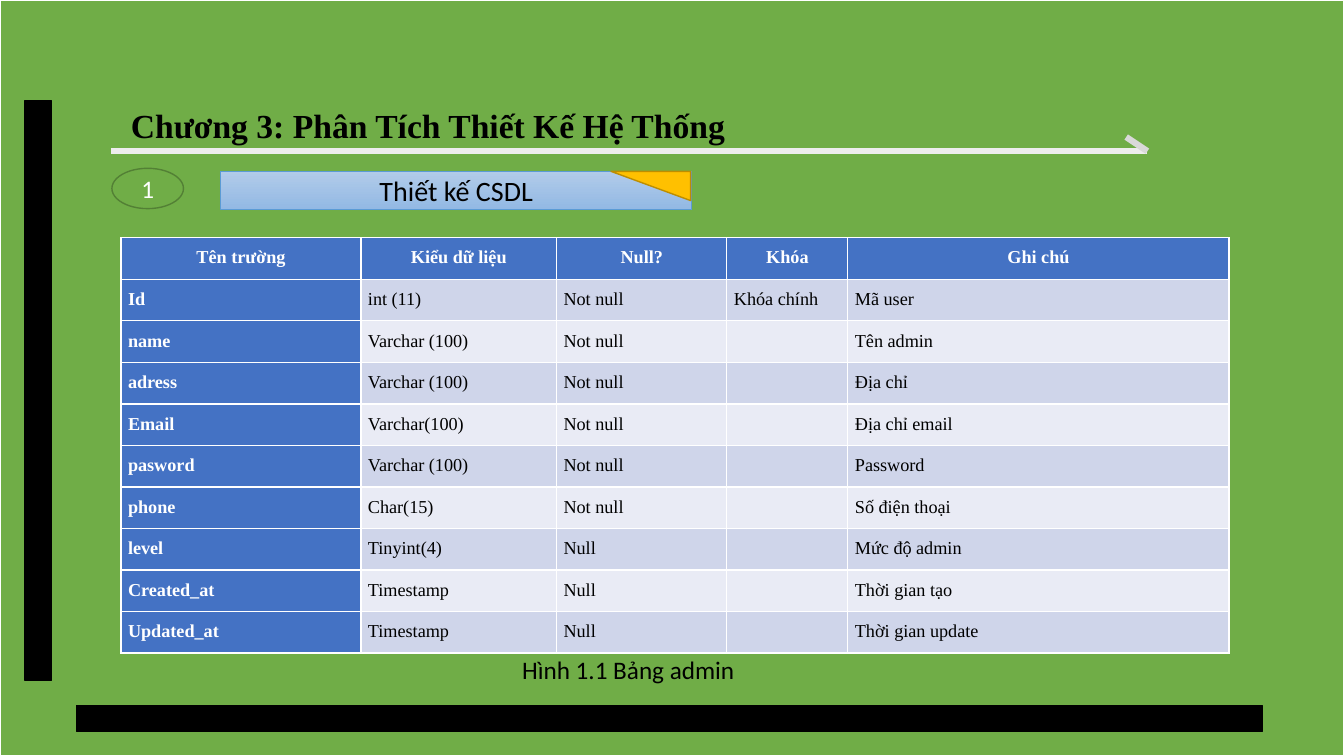
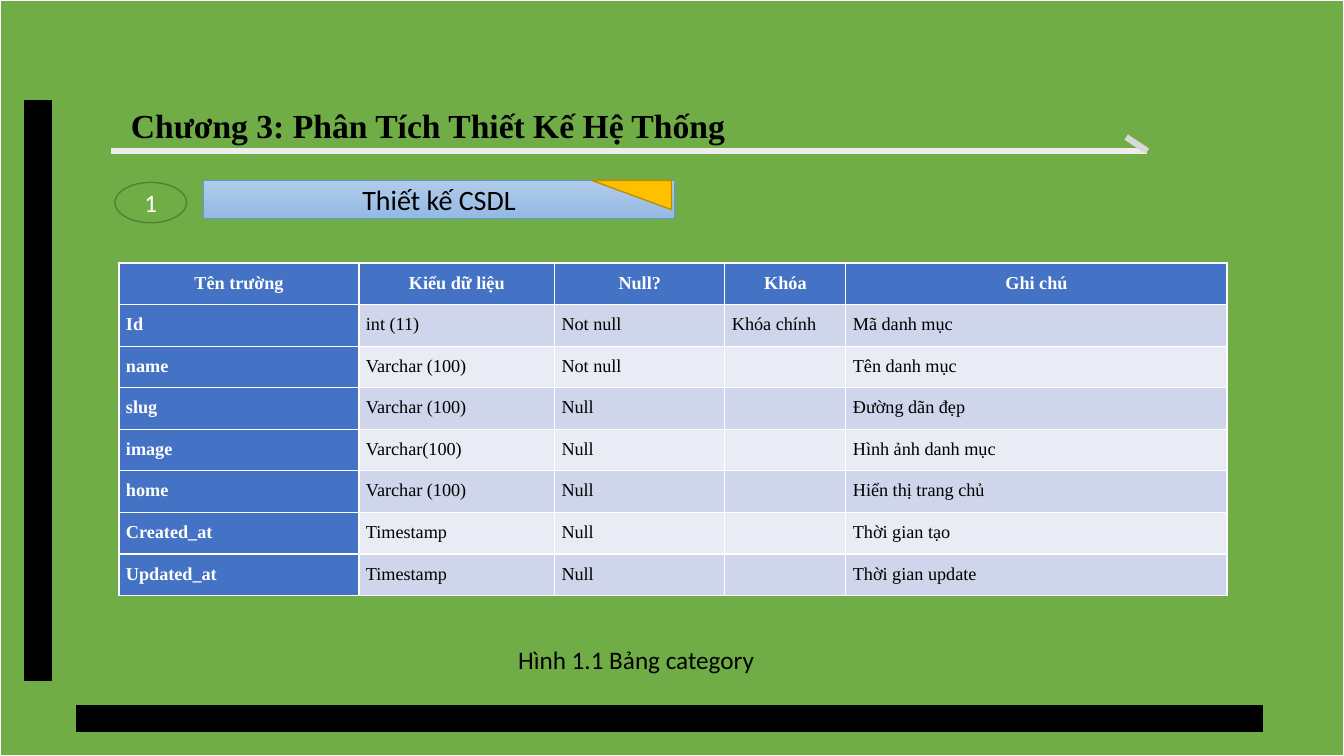
"""Build two slides that describe the database tables admin and category."""
from lxml import etree
from pptx import Presentation
from pptx.dml.color import RGBColor
from pptx.enum.shapes import MSO_CONNECTOR, MSO_SHAPE
from pptx.enum.text import MSO_ANCHOR, MSO_AUTO_SIZE, PP_ALIGN
from pptx.oxml.ns import qn
from pptx.util import Inches, Pt

RECT = MSO_SHAPE.RECTANGLE
OVAL = MSO_SHAPE.OVAL
WEDGE = MSO_SHAPE.RIGHT_TRIANGLE
LINE = MSO_CONNECTOR.STRAIGHT
TOP = MSO_ANCHOR.TOP
FIXED = MSO_AUTO_SIZE.NONE
LEFT, CENTER = PP_ALIGN.LEFT, PP_ALIGN.CENTER

SERIF, SANS = "Times New Roman", "Calibri"
WHITE, BLACK, GREEN, BLUE = "FFFFFF", "000000", "70AD47", "4472C4"
BANDS = ("E9EBF5", "CFD5EA")
TITLE = "Chương 3: Phân Tích Thiết Kế Hệ Thống"
HEAD = ("Tên trường", "Kiểu dữ liệu", "Null?", "Khóa", "Ghi chú")
WIDTHS = (2.38, 1.94, 1.69, 1.2, 3.78)
STAMPS = [
    ("Created_at", "Timestamp", "Null", "", "Thời gian tạo"),
    ("Updated_at", "Timestamp", "Null", "", "Thời gian update"),
]
PAGES = [
    {
        "badge": (1.11, 1.67), "banner": (2.19, 1.7), "fold": (6.06, 1.7),
        "table": (1.2, 2.36, 10.99, 4.12),
        "note": ("Hình 1.1 Bảng admin", 5.08, 6.44, 2.45, 0.4),
        "rows": [
            ("Id", "int (11)", "Not null", "Khóa chính", "Mã user"),
            ("name", "Varchar (100)", "Not null", "", "Tên admin"),
            ("adress", "Varchar (100)", "Not null", "", "Địa chỉ"),
            ("Email", "Varchar(100)", "Not null", "", "Địa chỉ email"),
            ("pasword", "Varchar (100)", "Not null", "", "Password"),
            ("phone", "Char(15)", "Not null", "", "Số điện thoại"),
            ("level", "Tinyint(4)", "Null", "", "Mức độ admin"),
        ],
    },
    {
        "badge": (1.14, 1.81), "banner": (2.02, 1.79), "fold": (5.87, 1.79),
        "table": (1.18, 2.61, 10.99, 3.3),
        "note": ("Hình 1.1 Bảng category", 5.04, 6.34, 2.65, 0.4),
        "rows": [
            ("Id", "int (11)", "Not null", "Khóa chính", "Mã danh mục"),
            ("name", "Varchar (100)", "Not null", "", "Tên danh mục"),
            ("slug", "Varchar (100)", "Null", "", "Đường dãn đẹp"),
            ("image", "Varchar(100)", "Null", "", "Hình ảnh danh mục"),
            ("home", "Varchar (100)", "Null", "", "Hiển thị trang chủ"),
        ],
    },
]


def paint(part, tone):
    """Give a fill, line or font format one solid colour."""
    if hasattr(part, "solid"):
        part.solid()
    color = part.fore_color if hasattr(part, "fore_color") else part.color
    color.rgb = RGBColor.from_string(tone)


def write(frame, text, size, face, tone, bold=False, align=LEFT):
    """Put one styled paragraph in a text frame and return it."""
    frame.text = text
    par = frame.paragraphs[0]
    par.alignment = align
    par.font.size, par.font.name, par.font.bold = Pt(size), face, bold
    paint(par.font, tone)
    return par


deck = Presentation()
deck.slide_width, deck.slide_height = Inches(13.33), Inches(7.5)
layout = deck.slide_layouts[5]
slides = [deck.slides.add_slide(layout) for page in PAGES]

frame = []
for box, fill, edge, width in (
    ((0, 0, 13.33, 7.5), GREEN, WHITE, 1.5),
    ((0.25, 1, 0.26, 5.75), BLACK, BLACK, 1),
    ((0.76, 7, 11.76, 0.26), BLACK, BLACK, 1),
):
    bar = slides[0].shapes.add_shape(RECT, *map(Inches, box))
    bar.shadow.inherit = False
    paint(bar.fill, fill)
    paint(bar.line, edge)
    bar.line.width = Pt(width)
    frame.append(bar)
for ends, tone in (
    ((1.1, 1.5, 11.38, 1.5), "EDEDED"),
    ((11.38, 1.5, 11.17, 1.36), "D9D9D9"),
):
    rule = slides[0].shapes.add_connector(LINE, *map(Inches, ends))
    paint(rule.line, tone)
    rule.line.width = Pt(4.5)
    etree.SubElement(rule.element.spPr, qn("a:effectLst"))
    frame.append(rule)
for item in frame:
    layout.shapes.element.append(item.element)

for slide, page in zip(slides, PAGES):
    shapes = slide.shapes
    title = shapes.title
    title.left, title.top = Inches(1.11), Inches(0.99)
    title.width, title.height = Inches(6.27), Inches(0.5)
    write(title.text_frame, TITLE, 24, SERIF, BLACK, True, CENTER)
    title.text_frame.vertical_anchor = TOP
    title.text_frame.auto_size = FIXED

    marks = []
    for kind, spot, size, fill, edge, width in (
        (OVAL, "badge", (0.71, 0.4), GREEN, "538035", 1),
        (RECT, "banner", (4.67, 0.38), "A3C1E5", "5B9BD5", 0.5),
        (WEDGE, "fold", (0.79, 0.29), "FFC000", "BD8E00", 1),
    ):
        mark = shapes.add_shape(kind, *map(Inches, page[spot] + size))
        mark.shadow.inherit = False
        paint(mark.fill, fill)
        paint(mark.line, edge)
        mark.line.width = Pt(width)
        marks.append(mark)
    badge, banner, fold = marks
    fold.rotation = 180
    banner.fill.gradient()
    banner.fill.gradient_angle = 270
    for stop, tone in zip(banner.fill.gradient_stops, ("B1CBE9", "93B9E4")):
        paint(stop, tone)
    write(badge.text_frame, "1", 18, SANS, WHITE, align=CENTER)
    write(banner.text_frame, "Thiết kế CSDL", 20, SANS, BLACK, align=CENTER)

    rows = [HEAD] + page["rows"] + STAMPS
    place = map(Inches, page["table"])
    table = shapes.add_table(len(rows), len(HEAD), *place).table
    table.first_col = True
    for col, width in zip(table.columns, WIDTHS):
        col.width = Inches(width)
    for r, row in enumerate(rows):
        for c, text in enumerate(row):
            cell = table.cell(r, c)
            key = r == 0 or c == 0
            paint(cell.fill, BLUE if key else BANDS[r % 2])
            cell.margin_left = cell.margin_right = Inches(0.07)
            cell.margin_top = cell.margin_bottom = 0
            if text:
                par = write(cell.text_frame, text, 13, SERIF,
                            WHITE if key else BLACK, key,
                            LEFT if r else CENTER)
                par.line_spacing = 1.5

    text, *box = page["note"]
    note = shapes.add_textbox(*map(Inches, box))
    write(note.text_frame, text, 18, SANS, BLACK)

deck.save("out.pptx")
